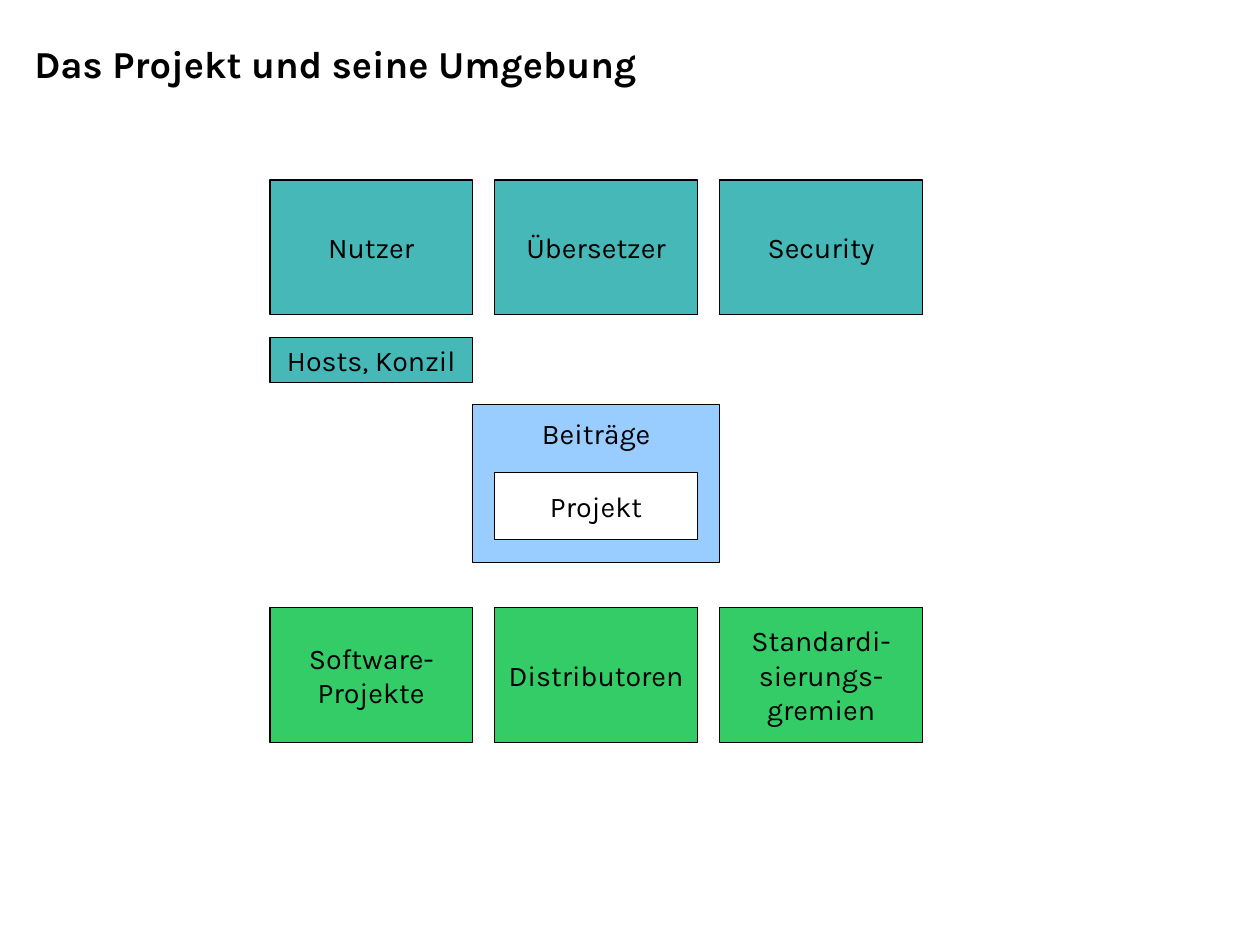
import pptx
import pptx.dml.color
import pptx.enum.shapes
import pptx.enum.text
import pptx.util
from dataclasses import dataclass

Pt = pptx.util.Pt
RGB = pptx.dml.color.RGBColor.from_string
Anchor = pptx.enum.text.MSO_ANCHOR
Align = pptx.enum.text.PP_ALIGN


@dataclass(frozen=True)
class Theme:
    font: str = "Karla"
    ink: str = "000000"
    people: str = "47B8B8"
    contributions: str = "99CCFF"
    project: str = "FFFFFF"
    partners: str = "33CC66"
    title_size: float = 24
    box_size: float = 18


theme = Theme()


def write_lines(shape, lines, size, bold, align, anchor):
    frame = shape.text_frame
    frame_format = {
        "word_wrap": True,
        "auto_size": pptx.enum.text.MSO_AUTO_SIZE.NONE,
        "vertical_anchor": anchor,
        "margin_left": Pt(7.2),
        "margin_right": Pt(7.2),
        "margin_top": Pt(3.6),
        "margin_bottom": Pt(3.6),
    }
    for name, value in frame_format.items():
        setattr(frame, name, value)
    font_format = {"name": theme.font, "size": Pt(size), "bold": bold}
    for index, line in enumerate(lines):
        para = frame.paragraphs[0] if index == 0 else frame.add_paragraph()
        para.alignment = align
        span = para.add_run()
        span.text = line
        for name, value in font_format.items():
            setattr(span.font, name, value)
        span.font.color.rgb = RGB(theme.ink)


def add_box(page, lines, fill, left, top, width, height, anchor=Anchor.MIDDLE):
    box = page.shapes.add_shape(
        pptx.enum.shapes.MSO_SHAPE.RECTANGLE,
        Pt(left), Pt(top), Pt(width), Pt(height))
    box.shadow.inherit = False
    box.fill.solid()
    box.fill.fore_color.rgb = RGB(fill)
    box.line.color.rgb = RGB(theme.ink)
    box.line.width = Pt(0)
    write_lines(box, lines, theme.box_size, False, Align.CENTER, anchor)
    return box


deck = pptx.Presentation()
deck.slide_width = Pt(793.7)
deck.slide_height = Pt(595.3)
page = deck.slides.add_slide(deck.slide_layouts[5])

title = page.shapes.title
title_place = {"left": 14.4, "top": 21.6, "width": 765.4, "height": 35.3}
for name, value in title_place.items():
    setattr(title, name, Pt(value))
write_lines(title, ["Das Projekt und seine Umgebung"],
            theme.title_size, True, Align.LEFT, Anchor.TOP)

# All boxes sit on a grid of half centimetres
unit = 14.17
box_width, box_height = 9 * unit, 6 * unit
columns = [(12 + 10 * index) * unit for index in range(3)]

contributions = add_box(page, ["Beiträge"], theme.contributions,
                        21 * unit, 18 * unit, 11 * unit, 7 * unit, Anchor.TOP)
contributions.text_frame.margin_top = Pt(7)
add_box(page, ["Projekt"], theme.project,
        columns[1], 21 * unit, box_width, 3 * unit)

rows = [
    (8 * unit, theme.people, [["Nutzer"], ["Übersetzer"], ["Security"]]),
    (27 * unit, theme.partners, [
        ["Software-", "Projekte"],
        ["Distributoren"],
        ["Standardi-", "sierungs-", "gremien"],
    ]),
]
for top, fill, labels in rows:
    for left, lines in zip(columns, labels):
        add_box(page, lines, fill, left, top, box_width, box_height)

add_box(page, ["Hosts, Konzil"], theme.people,
        columns[0], 15 * unit, box_width, 2 * unit)

deck.save("out.pptx")
